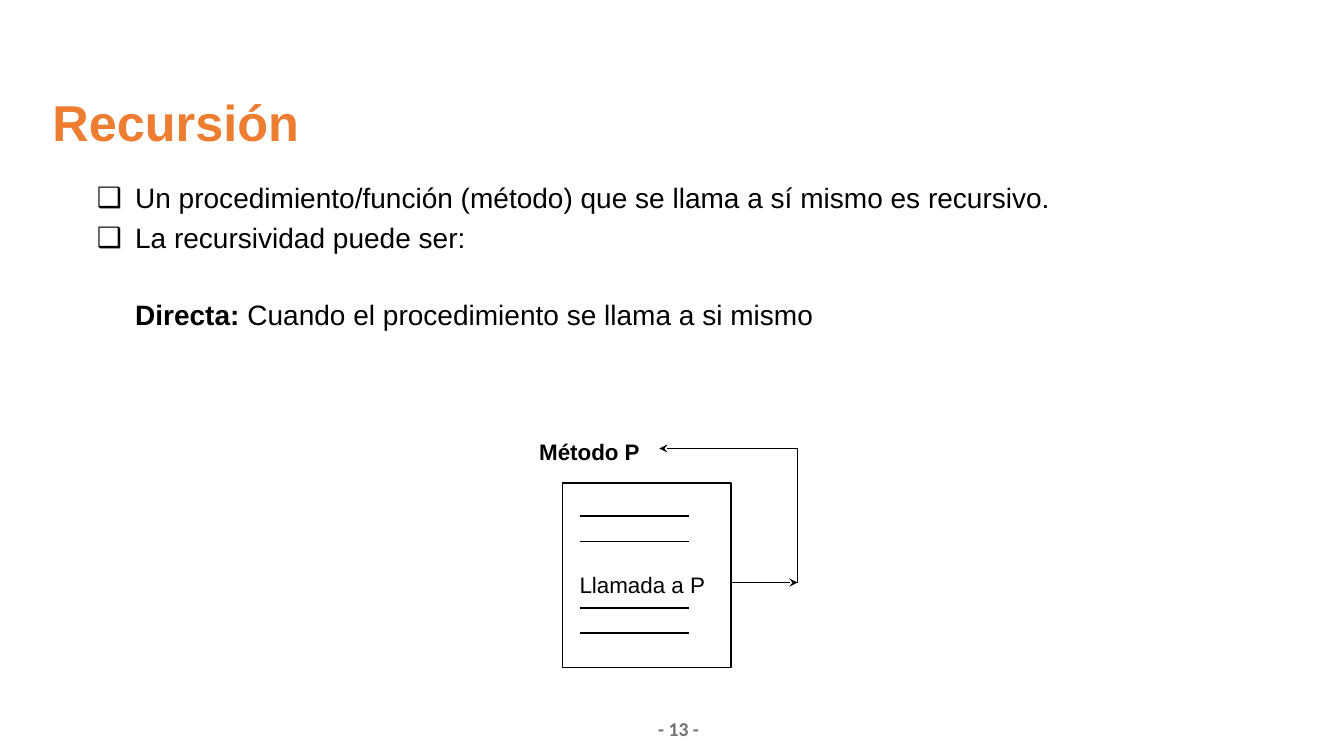
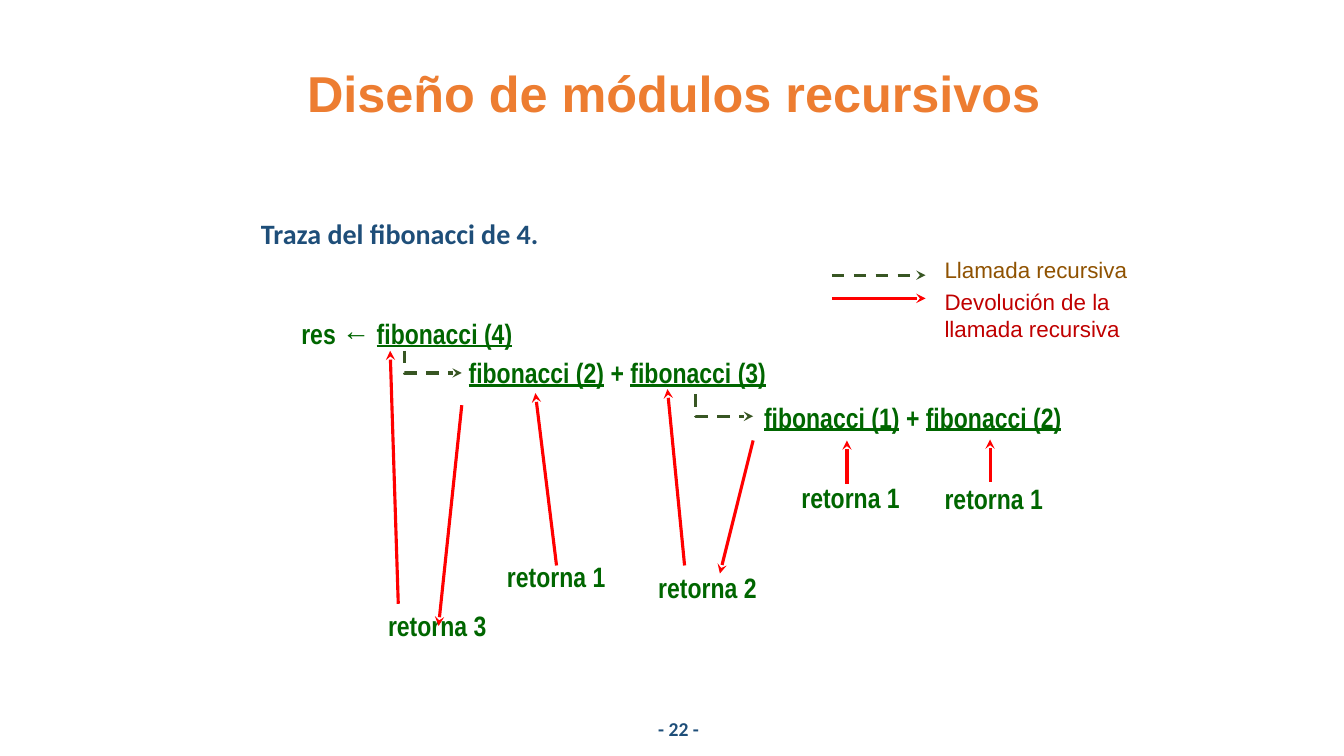
from dataclasses import dataclass

from lxml import etree
from pptx import Presentation
from pptx.dml.color import RGBColor
from pptx.enum.dml import MSO_LINE
from pptx.enum.shapes import MSO_CONNECTOR as Connector, MSO_SHAPE as Shape
from pptx.enum.text import MSO_ANCHOR as Anchor, MSO_AUTO_SIZE as AutoSize, PP_ALIGN as Align
from pptx.oxml.ns import qn
from pptx.util import Inches, Pt


@dataclass(frozen=True)
class TextStyle:
    size: float
    font: str
    color: str
    bold: bool = False


@dataclass(frozen=True)
class LineStyle:
    color: str
    width: float
    dashed: bool = False


@dataclass(frozen=True)
class Theme:
    paper: str = "FFFFFF"
    ink: str = "000000"
    title: TextStyle = TextStyle(36, "Arial", "ED7D31", True)
    body: TextStyle = TextStyle(20, "Arial", "000000")
    subtitle: TextStyle = TextStyle(20, "Calibri", "1E4E79", True)
    trace: TextStyle = TextStyle(20, "Arial Narrow", "006600", True)
    method: TextStyle = TextStyle(16, "Arial", "000000", True)
    statement: TextStyle = TextStyle(16, "Arial", "000000")
    call_key: TextStyle = TextStyle(16, "Arial", "8F5201")
    return_key: TextStyle = TextStyle(16, "Arial", "C00000")
    page_gray: TextStyle = TextStyle(14, "Calibri", "757070", True)
    page_blue: TextStyle = TextStyle(14, "Calibri", "1E4E79", True)
    outline: LineStyle = LineStyle("000000", 1)
    call: LineStyle = LineStyle("385623", 2.25, True)
    result: LineStyle = LineStyle("FF0000", 2.25)
    line_spacing: float = 0.9


THEME = Theme()
TITLE_ONLY, TITLE_AND_CONTENT = 5, 1


def place(shape, box):
    shape.left, shape.top, shape.width, shape.height = map(Inches, box)


def set_frame(frame, anchor=Anchor.TOP, inset=0.1):
    frame.word_wrap = True
    frame.auto_size = AutoSize.NONE
    frame.vertical_anchor = anchor
    frame.margin_left = frame.margin_right = Inches(inset)
    frame.margin_top = frame.margin_bottom = Inches(0.05)


def style_runs(paragraph, style):
    for run in paragraph.runs:
        run.font.size = Pt(style.size)
        run.font.name = style.font
        run.font.bold = style.bold
        run.font.color.rgb = RGBColor.from_string(style.color)


def add_runs(paragraph, pieces, style, emphasis):
    """Write (text, emphasized) pieces; emphasis is 'bold' or 'underline'."""
    for text, _ in pieces:
        paragraph.add_run().text = text
    style_runs(paragraph, style)
    for run, (_, emphasized) in zip(paragraph.runs, pieces):
        setattr(run.font, emphasis, emphasized)


def add_label(slide, box, text, style, align=Align.LEFT):
    frame = slide.shapes.add_textbox(*map(Inches, box)).text_frame
    set_frame(frame)
    frame.text = text
    for paragraph in frame.paragraphs:
        paragraph.alignment = align
        style_runs(paragraph, style)


def add_expression(slide, box, pieces):
    """Write one line of the trace, with its function calls underlined."""
    frame = slide.shapes.add_textbox(*map(Inches, box)).text_frame
    set_frame(frame)
    add_runs(frame.paragraphs[0], pieces, THEME.trace, "underline")


def add_line(slide, start, end, style, arrow=False, kind=Connector.STRAIGHT):
    connector = slide.shapes.add_connector(kind, *map(Inches, (*start, *end)))
    connector.line.color.rgb = RGBColor.from_string(style.color)
    connector.line.width = Pt(style.width)
    if style.dashed:
        connector.line.dash_style = MSO_LINE.DASH
    properties = connector._element.spPr
    if arrow:
        etree.SubElement(properties.find(qn("a:ln")), qn("a:tailEnd"), type="stealth")
    etree.SubElement(properties, qn("a:effectLst"))
    return connector


def add_down_right_arrow(slide, start, end):
    elbow = add_line(slide, start, end, THEME.call, True, Connector.ELBOW)
    geometry = elbow._element.spPr.find(qn("a:prstGeom"))
    adjustments = geometry.find(qn("a:avLst"))
    if adjustments is None:
        adjustments = etree.SubElement(geometry, qn("a:avLst"))
    etree.SubElement(adjustments, qn("a:gd"), name="adj1", fmla="val 0")


def add_page(deck, layout, title, title_box, align, number, number_style):
    slide = deck.slides.add_slide(deck.slide_layouts[layout])
    heading = slide.shapes.title
    place(heading, title_box)
    set_frame(heading.text_frame, Anchor.MIDDLE)
    heading.text_frame.text = title
    paragraph = heading.text_frame.paragraphs[0]
    paragraph.alignment = align
    paragraph.line_spacing = THEME.line_spacing
    style_runs(paragraph, THEME.title)
    add_label(slide, (6.43, 7.06, 0.65, 0.34), f"- {number} -", number_style)
    return slide


def set_bullet(paragraph, mark, hanging):
    """Indent the paragraph and give it a mark, or none when mark is empty."""
    properties = paragraph._p.get_or_add_pPr()
    properties.set("marL", str(Inches(0.38)))
    properties.set("indent", str(-Inches(0.38) if hanging else 0))
    if mark:
        color = etree.SubElement(properties, qn("a:buClr"))
        etree.SubElement(color, qn("a:srgbClr"), val=THEME.ink)
        etree.SubElement(properties, qn("a:buChar"), char=mark)
    else:
        etree.SubElement(properties, qn("a:buNone"))


def add_definition(slide):
    body = slide.placeholders[1]
    place(body, (0.87, 1.78, 12, 1.85))
    frame = body.text_frame
    set_frame(frame, inset=0.09)
    frame.text = (
        "Un procedimiento/función (método) que se llama a sí mismo es recursivo.\n"
        "La recursividad puede ser:"
    )
    for paragraph in frame.paragraphs:
        style_runs(paragraph, THEME.body)
    direct = frame.add_paragraph()
    pieces = [("Directa:", True), (" Cuando el procedimiento se llama a si mismo", False)]
    add_runs(direct, pieces, THEME.body, "bold")
    for paragraph, gap, mark in zip(frame.paragraphs, (0, 7.2, 33), ("❑", "❑", "")):
        paragraph.alignment = Align.JUSTIFY
        paragraph.line_spacing = THEME.line_spacing
        paragraph.space_before = Pt(gap)
        set_bullet(paragraph, mark, hanging=bool(mark))


def add_method_diagram(slide):
    method = slide.shapes.add_shape(
        Shape.RECTANGLE, *map(Inches, (5.58, 4.79, 1.67, 1.83)))
    method.shadow.inherit = False
    method.fill.solid()
    method.fill.fore_color.rgb = RGBColor.from_string(THEME.paper)
    method.line.color.rgb = RGBColor.from_string(THEME.outline.color)
    method.line.width = Pt(THEME.outline.width)
    for first_y in (5.12, 6.03):
        for y in (first_y, first_y + 0.25):
            add_line(slide, (5.75, y), (6.83, y), THEME.outline)
    add_label(slide, (5.65, 5.62, 1.5, 0.35), "Llamada a P", THEME.statement)
    add_label(slide, (5.25, 4.3, 1.24, 0.37), "Método P", THEME.method)

    loop = [(7.24, 5.78), (7.91, 5.78), (7.91, 4.45), (6.54, 4.45)]
    for start, end in zip(loop, loop[1:]):
        add_line(slide, start, end, THEME.outline, arrow=start[1] == end[1])


def add_legend(slide):
    for y, style in ((2.73, THEME.call), (2.96, THEME.result)):
        add_line(slide, (8.25, y), (9.18, y), style, arrow=True)
    add_label(slide, (9.27, 2.49, 2.03, 0.37), "Llamada recursiva", THEME.call_key)
    add_label(slide, (9.27, 2.81, 2.03, 0.64),
              "Devolución de la\nllamada recursiva", THEME.return_key)


def add_trace(slide):
    add_expression(slide, (2.89, 3.09, 2.31, 0.44),
                   [("res ← ", False), ("fibonacci (4)", True)])
    for left, top, first, second in ((4.55, 3.48, 2, 3), (7.48, 3.92, 1, 2)):
        add_expression(slide, (left, top, 3.23, 0.44),
                       [(f"fibonacci ({first})", True), (" + ", False),
                        (f"fibonacci ({second})", True)])
    for x, y in ((4.01, 3.48), (6.9, 3.91)):
        add_down_right_arrow(slide, (x, y), (x + 0.57, y + 0.22))

    returns = [(9.27, 4.73, 1), (7.85, 4.72, 1), (6.43, 5.61, 2),
               (3.75, 5.99, 3), (4.93, 5.5, 1)]
    for left, top, value in returns:
        add_label(slide, (left, top, 1.19, 0.44), f"retorna {value}", THEME.trace)

    return_arrows = [
        ((9.82, 4.78), (9.82, 4.36)),
        ((8.4, 4.8), (8.4, 4.37)),
        ((7.47, 4.37), (7.14, 5.69)),
        ((6.79, 5.61), (6.62, 3.86)),
        ((4.58, 4.02), (4.35, 6.21)),
        ((5.52, 5.61), (5.31, 3.9)),
        ((3.95, 5.99), (3.87, 3.48)),
    ]
    for start, end in return_arrows:
        add_line(slide, start, end, THEME.result, arrow=True)


def main():
    deck = Presentation()
    deck.slide_width, deck.slide_height = Inches(13.33), Inches(7.5)

    recursion = add_page(deck, TITLE_AND_CONTENT, "Recursión",
                         (0.42, 0.92, 12.46, 0.64), Align.LEFT, 13, THEME.page_gray)
    add_definition(recursion)
    add_method_diagram(recursion)

    design = add_page(deck, TITLE_ONLY, "Diseño de módulos recursivos",
                      (2.57, 0.6, 8.23, 0.71), Align.CENTER, 22, THEME.page_blue)
    add_label(design, (2.49, 2.1, 8.43, 0.44), "Traza del fibonacci de 4.",
              THEME.subtitle, Align.JUSTIFY)
    add_legend(design)
    add_trace(design)

    deck.save("out.pptx")


if __name__ == "__main__":
    main()
